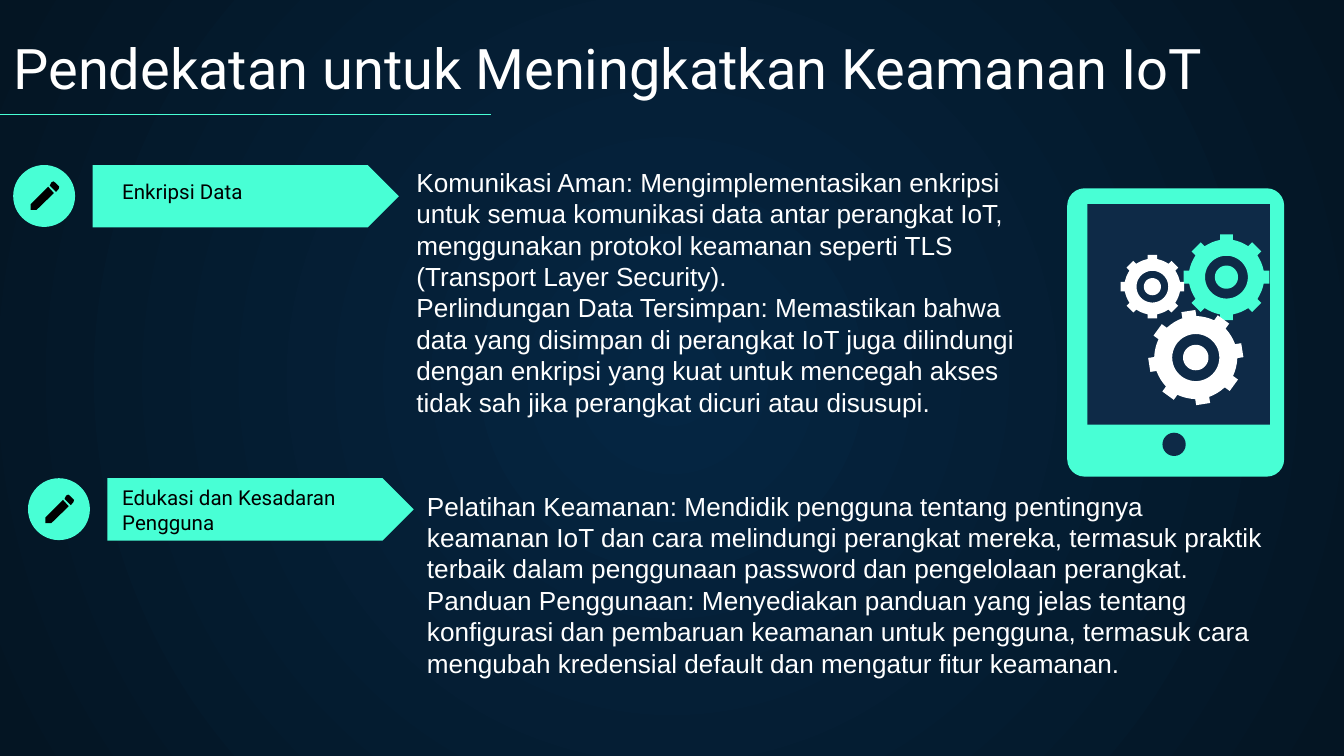
"""Builds a slide on ways to improve IoT security."""
from math import cos, pi, radians, sin

from lxml import etree
from pptx import Presentation
from pptx.dml.color import RGBColor
from pptx.enum.shapes import MSO_CONNECTOR, MSO_SHAPE
from pptx.enum.text import MSO_ANCHOR, MSO_AUTO_SIZE, PP_ALIGN
from pptx.oxml.ns import qn
from pptx.util import Cm, Pt

ARROW = MSO_SHAPE.PENTAGON
CIRCLE = MSO_SHAPE.OVAL
RECTANGLE = MSO_SHAPE.RECTANGLE
ROUNDED = MSO_SHAPE.ROUNDED_RECTANGLE
STRAIGHT = MSO_CONNECTOR.STRAIGHT
TOP, MIDDLE, BOTTOM = MSO_ANCHOR.TOP, MSO_ANCHOR.MIDDLE, MSO_ANCHOR.BOTTOM
LEFT = PP_ALIGN.LEFT
NO_FIT = MSO_AUTO_SIZE.NONE

COLOURS = {
    "centre": "052643",
    "edge": "041523",
    "mint": "48FFD5",
    "navy": "0E2A47",
    "white": "FFFFFF",
    "black": "000000",
}
HEADING_FONT, BODY_FONT = "Roboto", "Arial"

PENCIL = [
    [(0.43, 0), (0.39, 0.02), (0.36, 0.08), (0.48, 0.2), (0.53, 0.14),
     (0.54, 0.1), (0.46, 0.02)],
    [(0.33, 0.1), (0, 0.43), (0, 0.54), (0.11, 0.54), (0.44, 0.22)],
]

TOPICS = [
    {
        "label": "Enkripsi Data",
        "arrow": (1.75, 3.12),
        "label_centre": 3.61,
        "body_box": (7.62, 3.02, 12.62, 5.74),
        "body": [
            "Komunikasi Aman: Mengimplementasikan enkripsi untuk semua komunikasi "
            "data antar perangkat IoT, menggunakan protokol keamanan seperti TLS "
            "(Transport Layer Security).",
            "Perlindungan Data Tersimpan: Memastikan bahwa data yang disimpan di "
            "perangkat IoT juga dilindungi dengan enkripsi yang kuat untuk mencegah "
            "akses tidak sah jika perangkat dicuri atau disusupi.",
        ],
    },
    {
        "label": "Edukasi dan Kesadaran Pengguna",
        "arrow": (2.03, 9.04),
        "label_centre": 9.64,
        "body_box": (7.82, 9.14, 16.46, 3.84),
        "body": [
            "Pelatihan Keamanan: Mendidik pengguna tentang pentingnya keamanan IoT "
            "dan cara melindungi perangkat mereka, termasuk praktik terbaik dalam "
            "penggunaan password dan pengelolaan perangkat.",
            "Panduan Penggunaan: Menyediakan panduan yang jelas tentang konfigurasi "
            "dan pembaruan keamanan untuk pengguna, termasuk cara mengubah "
            "kredensial default dan mengatur fitur keamanan.",
        ],
    },
]


def colour(name):
    """Return the named palette colour."""
    return RGBColor.from_string(COLOURS[name])


def ring(x, y, radius, steps=48):
    """Return the points of a circle around a centre."""
    angles = [2 * pi * step / steps for step in range(steps)]
    return [(x + radius * cos(angle), y + radius * sin(angle)) for angle in angles]


class Painter:
    """Holds the style and the current slide."""

    def __init__(self, page):
        """Keep the slide to draw on."""
        self.page = page

    def background(self):
        """Fill the slide with a radial gradient."""
        fill = self.page.background.fill
        fill.gradient()
        for stop, name in zip(fill.gradient_stops, ("centre", "edge")):
            stop.color.rgb = colour(name)
        gradient = self.page.element.xpath(".//p:bg//a:gradFill")[0]
        linear = gradient.find(qn("a:lin"))
        radial = etree.Element(qn("a:path"), {"path": "circle"})
        sides = dict.fromkeys("ltrb", "50000")
        etree.SubElement(radial, qn("a:fillToRect"), sides)
        gradient.replace(linear, radial)

    def paint(self, shape, fill):
        """Give a shape a flat fill without line or shadow."""
        shape.shadow.inherit = False
        shape.fill.solid()
        shape.fill.fore_color.rgb = colour(fill)
        shape.line.fill.background()

    def shape(self, kind, box, fill, roundness=None):
        """Add a preset shape."""
        shape = self.page.shapes.add_shape(kind, *map(Cm, box))
        if roundness is not None:
            shape.adjustments[0] = roundness
        self.paint(shape, fill)

    def outline(self, contours, fill):
        """Add a freeform made of closed contours."""
        contours = [[(Cm(x), Cm(y)) for x, y in points] for points in contours]
        builder = self.page.shapes.build_freeform(*contours[0][0])
        for index, points in enumerate(contours):
            if index:
                builder.move_to(*points[0])
            builder.add_line_segments(points[1:], close=True)
        self.paint(builder.convert_to_shape(), fill)

    def pencil(self, left, top):
        """Add a pencil icon."""
        moved = [[(left + x, top + y) for x, y in points] for points in PENCIL]
        self.outline(moved, "black")

    def gear(self, x, y, radius, fill, turn=0):
        """Add an eight-toothed gear with a hub."""
        half_tooth = 0.15
        rim = []
        for tooth in range(8):
            angle = radians(45 * tooth + turn)
            for reach, side in ((0.87, -1), (1, -1), (1, 1), (0.87, 1)):
                along, across = radius * reach, radius * half_tooth * side
                rim.append((x + along * cos(angle) - across * sin(angle),
                            y + along * sin(angle) + across * cos(angle)))
            for step in (1, 2, 3):
                between = angle + radians(10 + 6.25 * step)
                rim.append((x + 0.88 * radius * cos(between),
                            y + 0.88 * radius * sin(between)))
        self.outline([rim, ring(x, y, 0.5 * radius), ring(x, y, 0.27 * radius)], fill)

    def line(self, start, end):
        """Add a thin accent line."""
        line = self.page.shapes.add_connector(STRAIGHT, *map(Cm, start + end))
        line.line.color.rgb = colour("mint")
        line.line.width = Pt(0.75)
        etree.SubElement(line.element.spPr, qn("a:effectLst"))

    def fill_frame(self, frame, texts, size, font, ink, anchor):
        """Put left-aligned paragraphs into a text frame."""
        frame.word_wrap = True
        frame.auto_size = NO_FIT
        frame.vertical_anchor = anchor
        for index, text in enumerate(texts):
            para = frame.add_paragraph() if index else frame.paragraphs[0]
            para.alignment = LEFT
            span = para.add_run()
            span.text = text
            span.font.size = Pt(size)
            span.font.name = font
            span.font.color.rgb = colour(ink)

    def title(self, text, box):
        """Place and format the title placeholder."""
        title = self.page.shapes.title
        title.left, title.top, title.width, title.height = map(Cm, box)
        frame = title.text_frame
        frame.margin_top = frame.margin_bottom = Cm(0.25)
        self.fill_frame(frame, [text], 30, HEADING_FONT, "white", BOTTOM)

    def text(self, box, texts, size, font, ink, anchor=TOP):
        """Add a text box."""
        frame = self.page.shapes.add_textbox(*map(Cm, box)).text_frame
        self.fill_frame(frame, texts, size, font, ink, anchor)

    def topic(self, topic):
        """Add a badge, an arrow label and its explanation."""
        left, top = topic["arrow"]
        self.shape(ARROW, (left, top, 5.79, 1.18), "mint", 0.5)
        self.shape(CIRCLE, (left - 1.5, top, 1.17, 1.17), "mint")
        self.pencil(left - 1.17, top + 0.31)
        label_box = (2.06, topic["label_centre"] - 0.6, 5.77, 1.2)
        self.text(label_box, [topic["label"]], 11, HEADING_FONT, "black", MIDDLE)
        self.text(topic["body_box"], topic["body"], 14, BODY_FONT, "white")

    def tablet(self):
        """Add the tablet with three gears on its screen."""
        self.shape(ROUNDED, (20.17, 3.56, 4.1, 5.45), "mint", 0.08)
        self.shape(RECTANGLE, (20.55, 3.86, 3.45, 4.17), "navy")
        self.shape(CIRCLE, (21.97, 8.18, 0.44, 0.44), "navy")
        self.gear(23.18, 5.24, 0.81, "mint")
        self.gear(21.78, 5.42, 0.6, "white")
        self.gear(22.6, 6.76, 0.89, "white", -9)


def main():
    """Build and save the deck."""
    deck = Presentation()
    deck.slide_width, deck.slide_height = Cm(25.4), Cm(14.29)
    painter = Painter(deck.slides.add_slide(deck.slide_layouts[5]))
    painter.background()
    painter.title("Pendekatan untuk Meningkatkan Keamanan IoT", (0, 0.33, 25.12, 1.83))
    painter.line((0, 2.16), (9.27, 2.16))
    painter.tablet()
    for topic in TOPICS:
        painter.topic(topic)
    deck.save("out.pptx")


if __name__ == "__main__":
    main()
